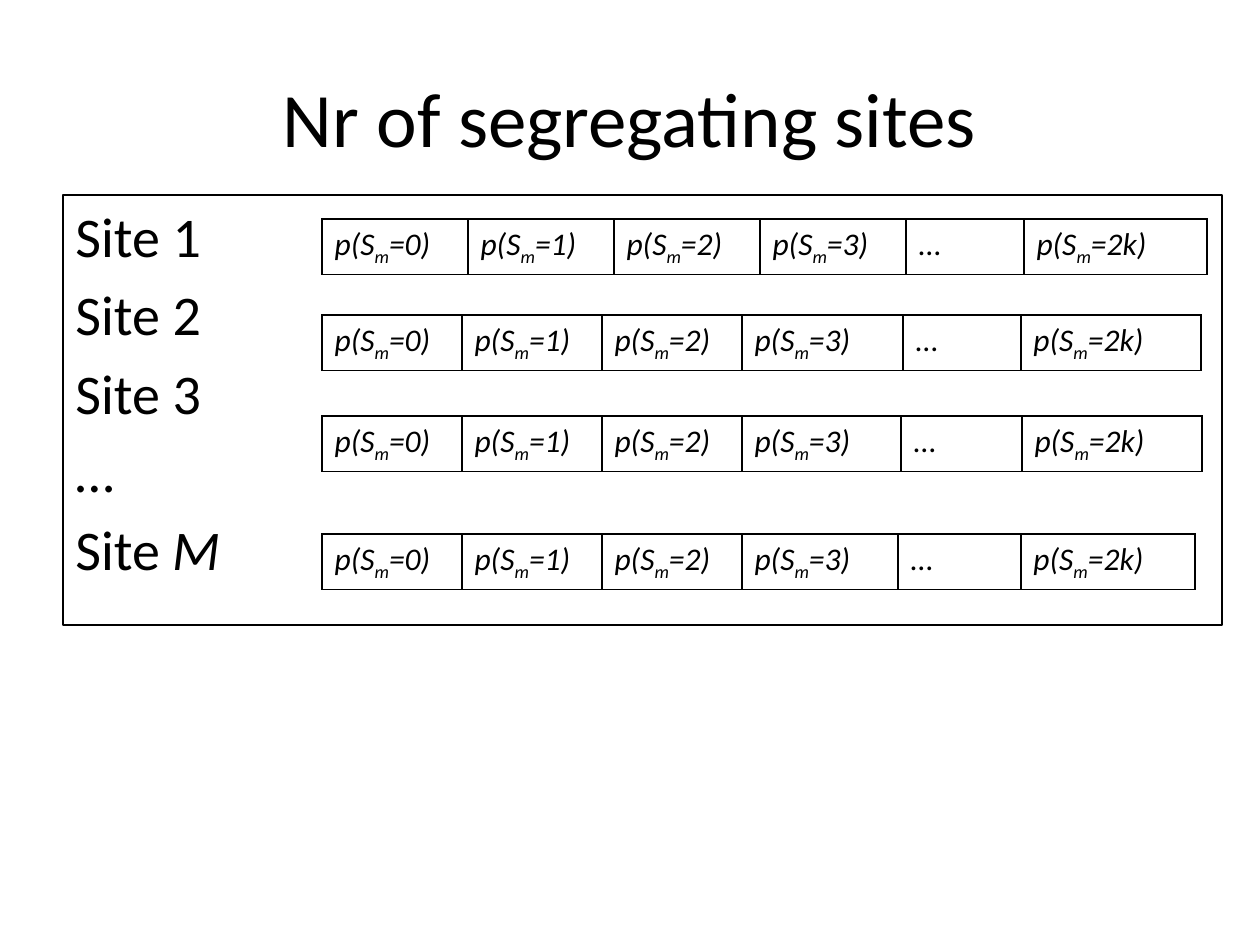
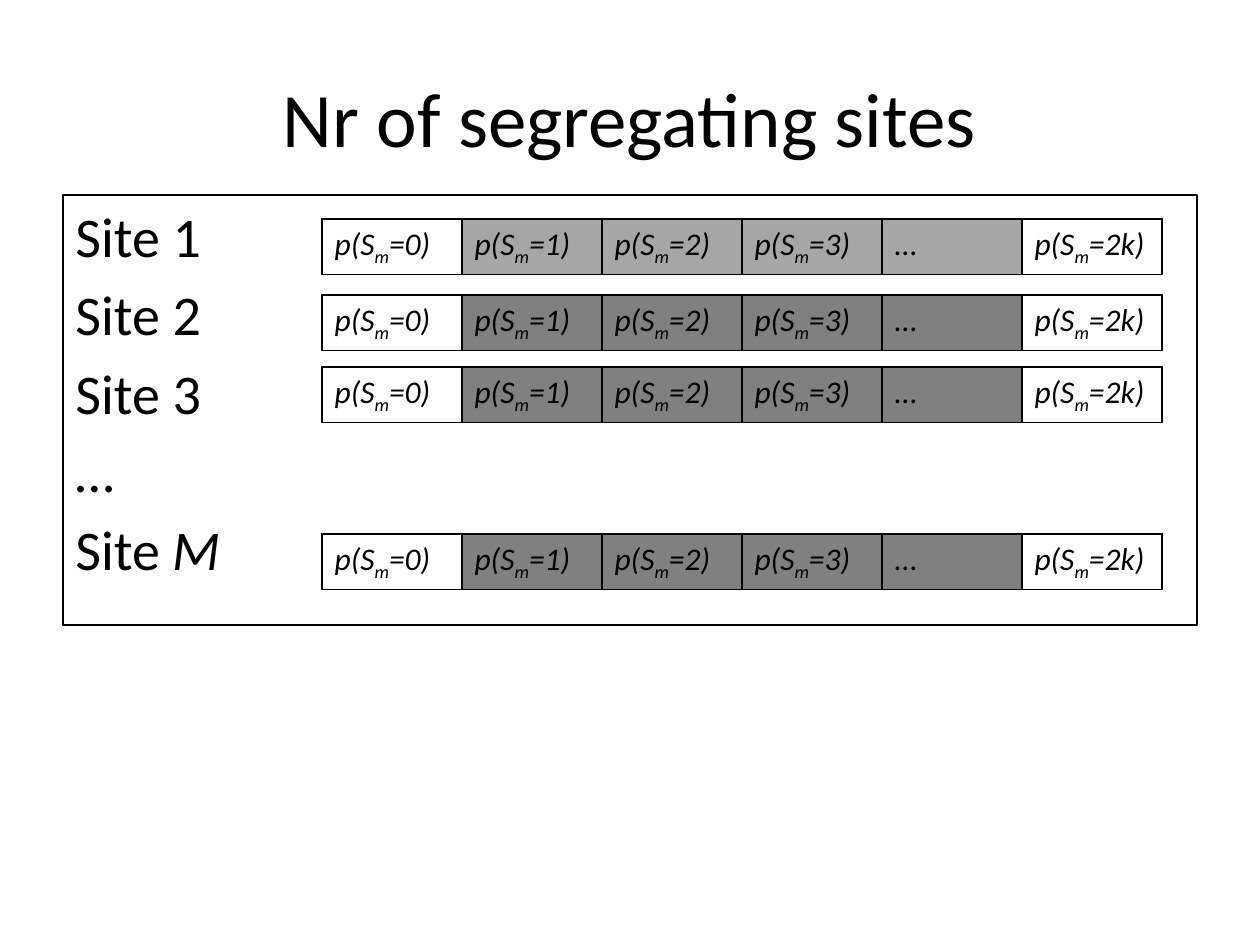
"""Build two slides on the probabilities of the number of segregating sites."""
from lxml.etree import SubElement
from pptx import Presentation
from pptx.dml.color import RGBColor
from pptx.enum.shapes import MSO_SHAPE as Shape
from pptx.enum.text import MSO_ANCHOR as Anchor, PP_ALIGN as Align
from pptx.oxml.ns import qn
from pptx.util import Pt

PX = 914400 / 126
COLORS = {"ink": "000000", "light": "A6A6A6", "dark": "808080"}
FONT = "Calibri"
SITES = ["Site 1", "Site 2", "Site 3", "…", "Site "]
COUNTS = ["0", "1", "2", "3", "…", "2k"]
TABLE_LEFT, ROW_HEIGHT = 322, 50
EQUAL = [140] * 6

SLIDES = [
    {"box_width": 1159, "tables": [
        (219, [146] * 4 + [118, 183], None),
        (315, [140] * 3 + [161, 118, 180], None),
        (416, [140] * 3 + [159, 121, 180], None),
        (534, [140] * 3 + [156, 123, 174], None)]},
    {"box_width": 1134, "tables": [
        (219, EQUAL, "light"),
        (295, EQUAL, "dark"),
        (367, EQUAL, "dark"),
        (534, EQUAL, "dark")]},
]


def px(*lengths):
    return [round(length * PX) for length in lengths]


def write(paragraph, text, size=18, italic=False, baseline=0):
    run = paragraph.add_run()
    run.text = text
    run.font.name = FONT
    run.font.size = Pt(size)
    run.font.italic = italic
    run.font.color.rgb = RGBColor.from_string(COLORS["ink"])
    if baseline:
        run.font._element.set("baseline", str(baseline * 1000))


presentation = Presentation()
presentation.slide_width, presentation.slide_height = px(1260, 945)

for content in SLIDES:
    slide = presentation.slides.add_slide(presentation.slide_layouts[6])

    title = slide.shapes.add_textbox(*px(63, 38, 1134, 157)).text_frame
    title.word_wrap = True
    title.vertical_anchor = Anchor.MIDDLE
    title.paragraphs[0].alignment = Align.CENTER
    write(title.paragraphs[0], "Nr of segregating sites", size=44)

    box = slide.shapes.add_shape(Shape.RECTANGLE, *px(63, 195, content["box_width"], 430))
    box.shadow.inherit = False
    box.fill.background()
    box.line.color.rgb = RGBColor.from_string(COLORS["ink"])
    box.line.width = Pt(0.75)
    box.text_frame.word_wrap = True
    box.text_frame.vertical_anchor = Anchor.TOP
    for index, site in enumerate(SITES):
        paragraph = box.text_frame.add_paragraph() if index else box.text_frame.paragraphs[0]
        paragraph.alignment = Align.LEFT
        if index:
            paragraph.space_before = Pt(6.4)
        write(paragraph, site, size=32)
    write(paragraph, "M", size=32, italic=True)

    for top, widths, shade in content["tables"]:
        frame = slide.shapes.add_table(
            1, len(COUNTS), *px(TABLE_LEFT, top, sum(widths), ROW_HEIGHT))
        table = frame.table
        table.first_row = table.horz_banding = False
        for index, (count, width) in enumerate(zip(COUNTS, widths)):
            table.columns[index].width = px(width)[0]
            cell = table.cell(0, index)
            paragraph = cell.text_frame.paragraphs[0]
            if count == "…":
                write(paragraph, count)
            else:
                write(paragraph, "p(S", italic=True)
                write(paragraph, "m", italic=True, baseline=-25)
                write(paragraph, f"={count})", italic=True)

            properties = cell._tc.get_or_add_tcPr()
            for side in ("a:lnL", "a:lnR", "a:lnT", "a:lnB"):
                border = SubElement(properties, qn(side), w=str(Pt(1)))
                solid = SubElement(border, qn("a:solidFill"))
                SubElement(solid, qn("a:srgbClr"), val=COLORS["ink"])
            if shade and 0 < index < len(COUNTS) - 1:
                cell.fill.solid()
                cell.fill.fore_color.rgb = RGBColor.from_string(COLORS[shade])
            else:
                cell.fill.background()

presentation.save("out.pptx")
